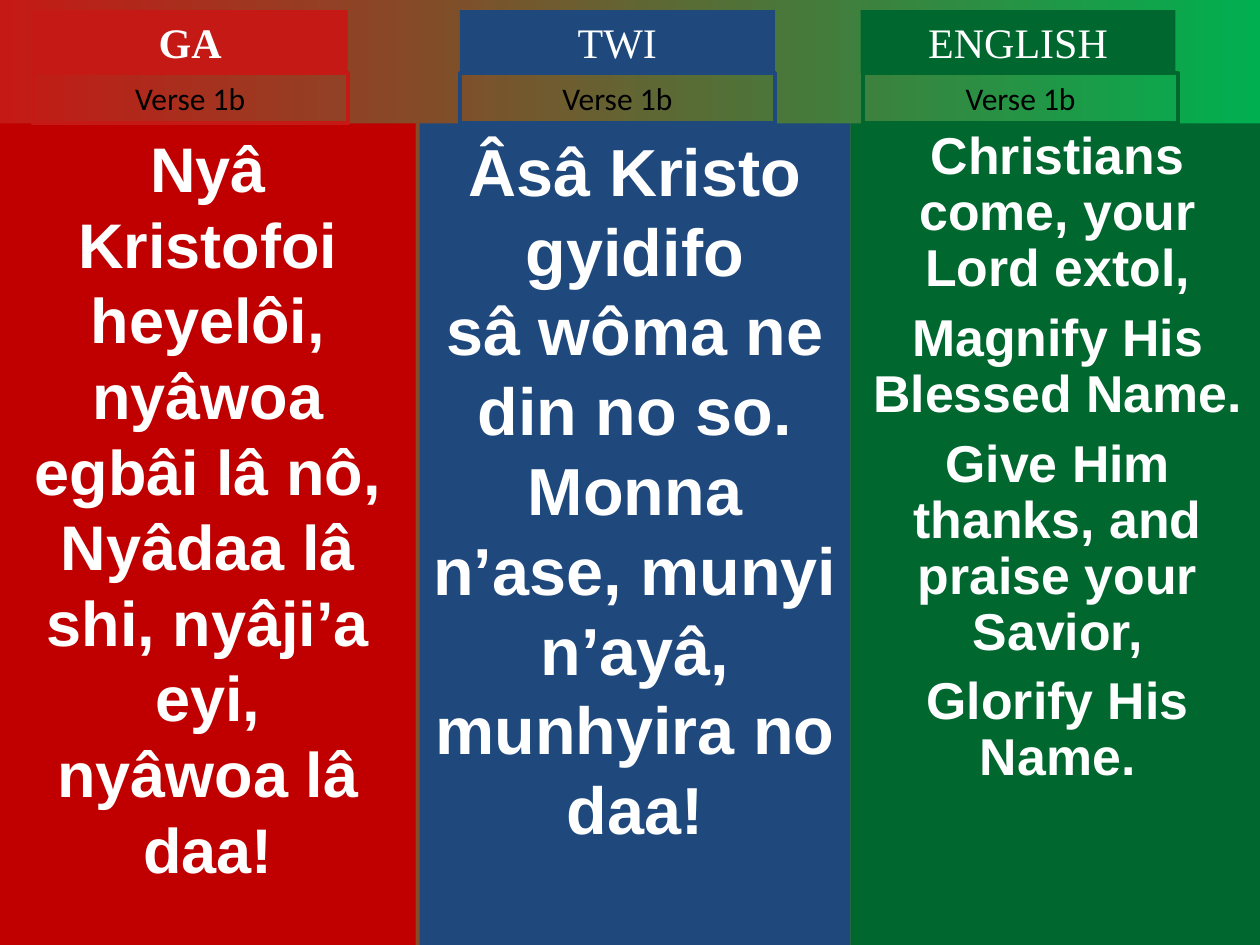
"""Build a three-language hymn slide with one coloured column per language."""
import pptx
import pptx.dml.color
import pptx.enum.shapes
import pptx.enum.text
import pptx.util

Pt = pptx.util.Pt
RGBColor = pptx.dml.color.RGBColor

RED = RGBColor(0xC0, 0x00, 0x00)
BRIGHT_RED = RGBColor(0xC5, 0x19, 0x15)
BLUE = RGBColor(0x1F, 0x49, 0x7D)
GREEN = RGBColor(0x00, 0x68, 0x2F)
LIGHT_GREEN = RGBColor(0x00, 0xB0, 0x50)
WHITE = RGBColor(0xFF, 0xFF, 0xFF)
BLACK = RGBColor(0x00, 0x00, 0x00)

TITLE_TOP, TITLE_HEIGHT = 5.76, 36
VERSE_TOP, VERSE_HEIGHT = 41.76, 28.8
LYRICS_TOP, LYRICS_HEIGHT = 70.56, 469.44
HEADER_WIDTH = 180


class HymnSlide:
    """Holds the style and the current slide."""

    title_font, verse_font, lyrics_font = "Times New Roman", "Calibri", "Arial"

    def __init__(self, prs):
        self.slide = prs.slides.add_slide(prs.slide_layouts[6])

    def background(self, start, end):
        fill = self.slide.background.fill
        fill.gradient()
        fill.gradient_angle = 0
        for stop, color in zip(fill.gradient_stops, (start, end)):
            stop.color.rgb = color

    def box(self, left, top, width, height, lines, font, size, color,
            bold=False, fill=None, line=None, spacing=None, gap=0):
        sp = self.slide.shapes.add_shape(
            pptx.enum.shapes.MSO_SHAPE.RECTANGLE,
            Pt(left), Pt(top), Pt(width), Pt(height))
        sp.shadow.inherit = False
        if fill is None:
            sp.fill.background()
        else:
            sp.fill.solid()
            sp.fill.fore_color.rgb = fill
        if line is None:
            sp.line.fill.background()
        else:
            sp.line.color.rgb = line
            sp.line.width = Pt(2.25)
        tf = sp.text_frame
        tf.word_wrap = True
        tf.vertical_anchor = pptx.enum.text.MSO_ANCHOR.TOP
        for i, text in enumerate(lines):
            p = tf.add_paragraph() if i else tf.paragraphs[0]
            p.text = text
            p.alignment = pptx.enum.text.PP_ALIGN.CENTER
            if spacing:
                p.line_spacing = spacing
            if i and gap:
                p.space_before = Pt(gap)
            p.font.name = font
            p.font.size = Pt(size)
            p.font.bold = bold
            p.font.color.rgb = color

    def lyrics(self, left, width, fill, size, lines, spacing=None, gap=0):
        self.box(left, LYRICS_TOP, width, LYRICS_HEIGHT, lines,
                 self.lyrics_font, size, WHITE, bold=True, fill=fill,
                 spacing=spacing, gap=gap)

    def title(self, left, text, fill, bold=False):
        self.box(left, TITLE_TOP, HEADER_WIDTH, TITLE_HEIGHT, [text],
                 self.title_font, 24, WHITE, bold=bold, fill=fill)

    def verse(self, left, text, line):
        self.box(left, VERSE_TOP, HEADER_WIDTH, VERSE_HEIGHT, [text],
                 self.verse_font, 18, BLACK, line=line)


def main():
    prs = pptx.Presentation()
    prs.slide_width, prs.slide_height = Pt(720), Pt(540)
    s = HymnSlide(prs)
    s.background(BRIGHT_RED, LIGHT_GREEN)

    s.lyrics(0, 237.6, RED, 36, [
        "Nyâ Kristofoi heyelôi,",
        "nyâwoa egbâi lâ nô,",
        "Nyâdaa lâ shi, nyâji’a eyi,",
        "nyâwoa lâ daa!"])
    s.lyrics(239.76, 246.24, BLUE, 38, [
        "Âsâ Kristo gyidifo",
        "sâ wôma ne din no so.",
        "Monna n’ase, munyi n’ayâ,",
        "munhyira no daa!"])
    s.lyrics(486, 236.88, GREEN, 29.6, [
        "Christians come, your Lord extol,",
        "Magnify His Blessed Name.",
        "Give Him thanks, and praise your Savior,",
        "Glorify His Name."], spacing=0.9, gap=8)

    headers = [
        ("GA", 18.72, 18.72, BRIGHT_RED, True),
        ("TWI", 262.8, 262.8, BLUE, False),
        ("ENGLISH", 491.76, 493.2, GREEN, False),
    ]
    for text, title_left, verse_left, color, bold in headers:
        s.title(title_left, text, color, bold)
        s.verse(verse_left, "Verse 1b", color)

    prs.save("out.pptx")


if __name__ == "__main__":
    main()
